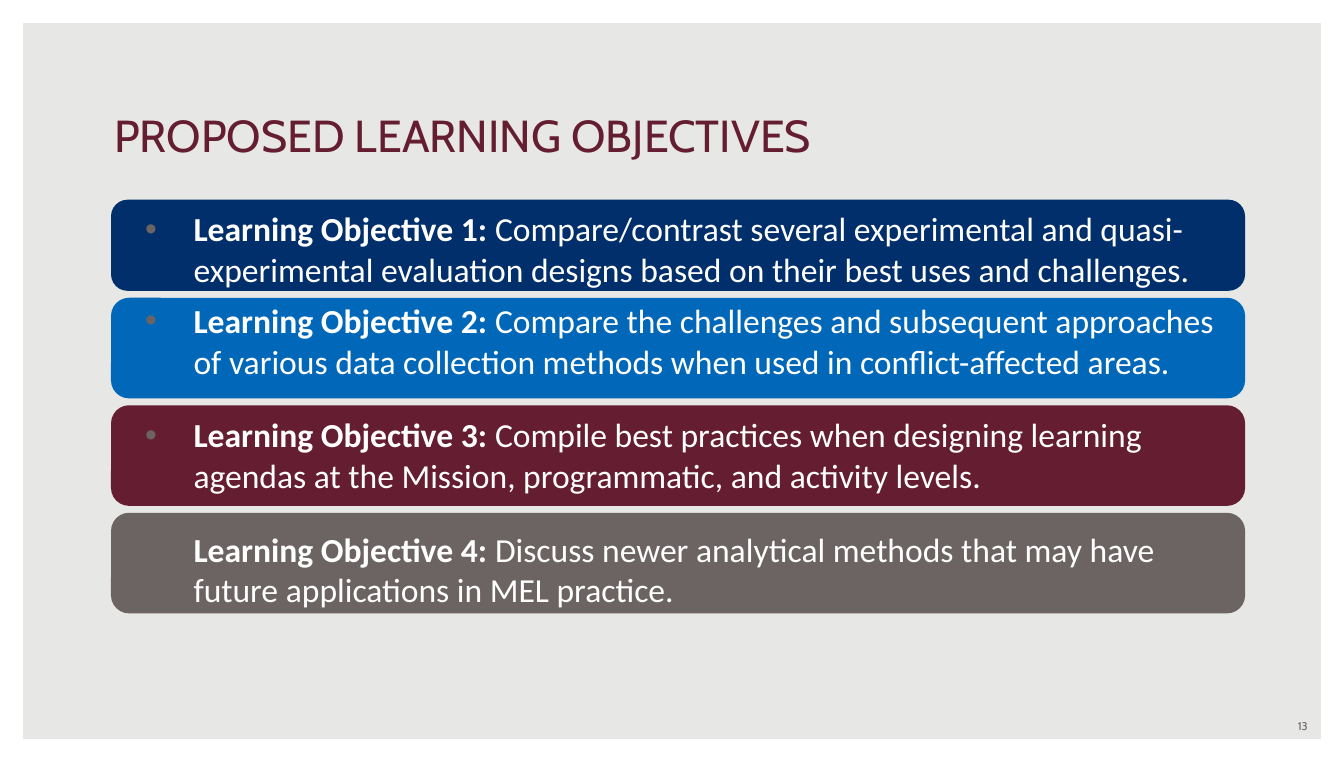
from dataclasses import dataclass

from lxml import etree
from pptx import Presentation, util as u
from pptx.dml import color
from pptx.enum import shapes, text
from pptx.oxml import ns


@dataclass(frozen=True)
class Theme:
    background: str = "E7E7E5"
    white: str = "FFFFFF"
    navy: str = "002F6C"
    blue: str = "0067B9"
    maroon: str = "651D32"
    gray: str = "6C6463"
    heading_font: str = "Cabin"
    body_font: str = "Calibri"
    title_size: int = 24
    body_size: int = 18
    number_size: int = 6


theme = Theme()


def add_block(slide, kind, box, fill, adjustment=None, line=None):
    shape = slide.shapes.add_shape(kind, *map(u.Inches, box))
    shape.shadow.inherit = False
    shape.fill.solid()
    shape.fill.fore_color.rgb = color.RGBColor.from_string(fill)
    if adjustment is not None:
        shape.adjustments[0] = adjustment
    if line:
        shape.line.color.rgb = color.RGBColor.from_string(line)
        shape.line.width = u.Pt(2)
    else:
        shape.line.fill.background()


def add_run(paragraph, words, font, size, ink, bold=False):
    run = paragraph.add_run()
    run.text = words
    for name, value in {"name": font, "size": u.Pt(size), "bold": bold}.items():
        setattr(run.font, name, value)
    run.font.color.rgb = color.RGBColor.from_string(ink)


presentation = Presentation()
presentation.slide_width = u.Inches(10)
presentation.slide_height = u.Inches(5.67)
slide = presentation.slides.add_slide(presentation.slide_layouts[1])
slide.background.fill.solid()
slide.background.fill.fore_color.rgb = color.RGBColor.from_string(theme.background)

add_block(slide, shapes.MSO_SHAPE.FRAME, (0, 0, 10, 5.67), theme.white, 0.03)

objectives = [
    ("Compare/contrast several experimental and quasi-experimental evaluation designs "
     "based on their best uses and challenges.", theme.navy, 0.65, 6),
    ("Compare the challenges and subsequent approaches of various data collection "
     "methods when used in conflict-affected areas.", theme.blue, 0.72, 18),
    ("Compile best practices when designing learning agendas at the Mission, "
     "programmatic, and activity levels.", theme.maroon, 0.72, 18),
    ("Discuss newer analytical methods that may have future applications in MEL "
     "practice.", theme.gray, 0.72, 6),
]

card_top, card_gap = 1.5, 0.08
for wording, fill, height, space_after in objectives:
    add_block(slide, shapes.MSO_SHAPE.ROUNDED_RECTANGLE,
              (0.84, card_top, 8.41, height), fill, line=fill)
    card_top += height + card_gap

title = slide.shapes.title
body = slide.placeholders[1]
number = slide.shapes.add_textbox(0, 0, 0, 0)
text_boxes = [
    (body, (0.84, 1.45, 8.5, 3.5), 0.1, text.MSO_ANCHOR.TOP),
    (number, (7.5, 5.3, 2.33, 0.2), 0.05, text.MSO_ANCHOR.MIDDLE),
    (title, (0.75, 0.74, 8.5, 0.51), 0.05, text.MSO_ANCHOR.BOTTOM),
]
for shape, box, inset, anchor in text_boxes:
    for name, value in zip(("left", "top", "width", "height"), box):
        setattr(shape, name, u.Inches(value))
    frame_format = {
        "word_wrap": True,
        "auto_size": text.MSO_AUTO_SIZE.NONE,
        "vertical_anchor": anchor,
        "margin_left": u.Inches(0.1),
        "margin_right": u.Inches(0.1),
        "margin_top": u.Inches(inset),
        "margin_bottom": u.Inches(inset),
    }
    for name, value in frame_format.items():
        setattr(shape.text_frame, name, value)
    shape.element.getparent().append(shape.element)

for index, (wording, fill, height, space_after) in enumerate(objectives):
    frame = body.text_frame
    paragraph = frame.add_paragraph() if index else frame.paragraphs[0]
    properties = paragraph._p.get_or_add_pPr()
    properties.set("marL", str(u.Inches(0.5)))
    properties.set("indent", str(u.Inches(-0.36)))
    bullet_color = etree.SubElement(properties, ns.qn("a:buClr"))
    etree.SubElement(bullet_color, ns.qn("a:srgbClr"), val=theme.gray)
    etree.SubElement(properties, ns.qn("a:buFont"), typeface="Arial")
    etree.SubElement(properties, ns.qn("a:buChar"), char="•")
    paragraph_format = {
        "alignment": text.PP_ALIGN.LEFT,
        "line_spacing": 1.0,
        "space_before": u.Pt(0),
        "space_after": u.Pt(space_after),
    }
    for name, value in paragraph_format.items():
        setattr(paragraph, name, value)
    for words, bold in ((f"Learning Objective {index + 1}: ", True), (wording, False)):
        add_run(paragraph, words, theme.body_font, theme.body_size, theme.white, bold)

labels = [
    (number, "13", theme.number_size, theme.gray, text.PP_ALIGN.RIGHT),
    (title, "PROPOSED LEARNING OBJECTIVES", theme.title_size, theme.maroon, text.PP_ALIGN.LEFT),
]
for shape, words, size, ink, alignment in labels:
    paragraph = shape.text_frame.paragraphs[0]
    paragraph.alignment = alignment
    add_run(paragraph, words, theme.heading_font, size, ink)

presentation.save("out.pptx")
